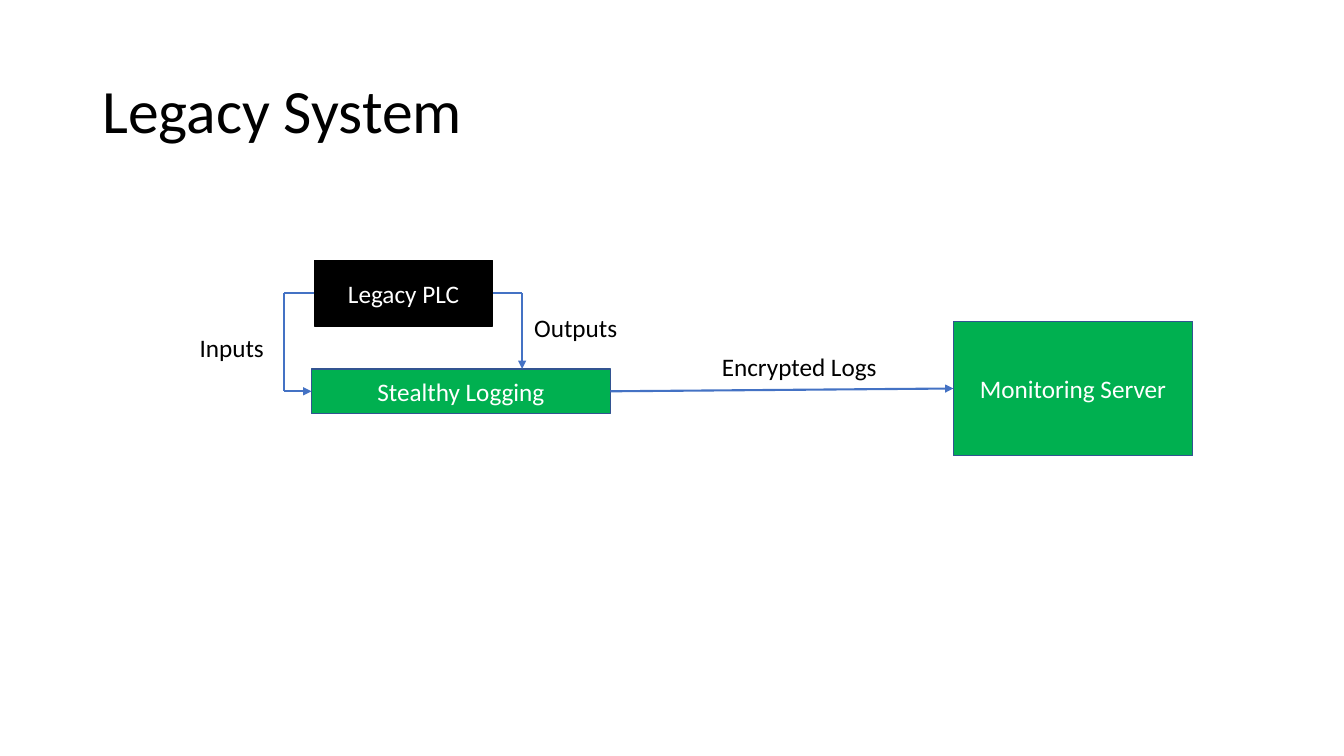
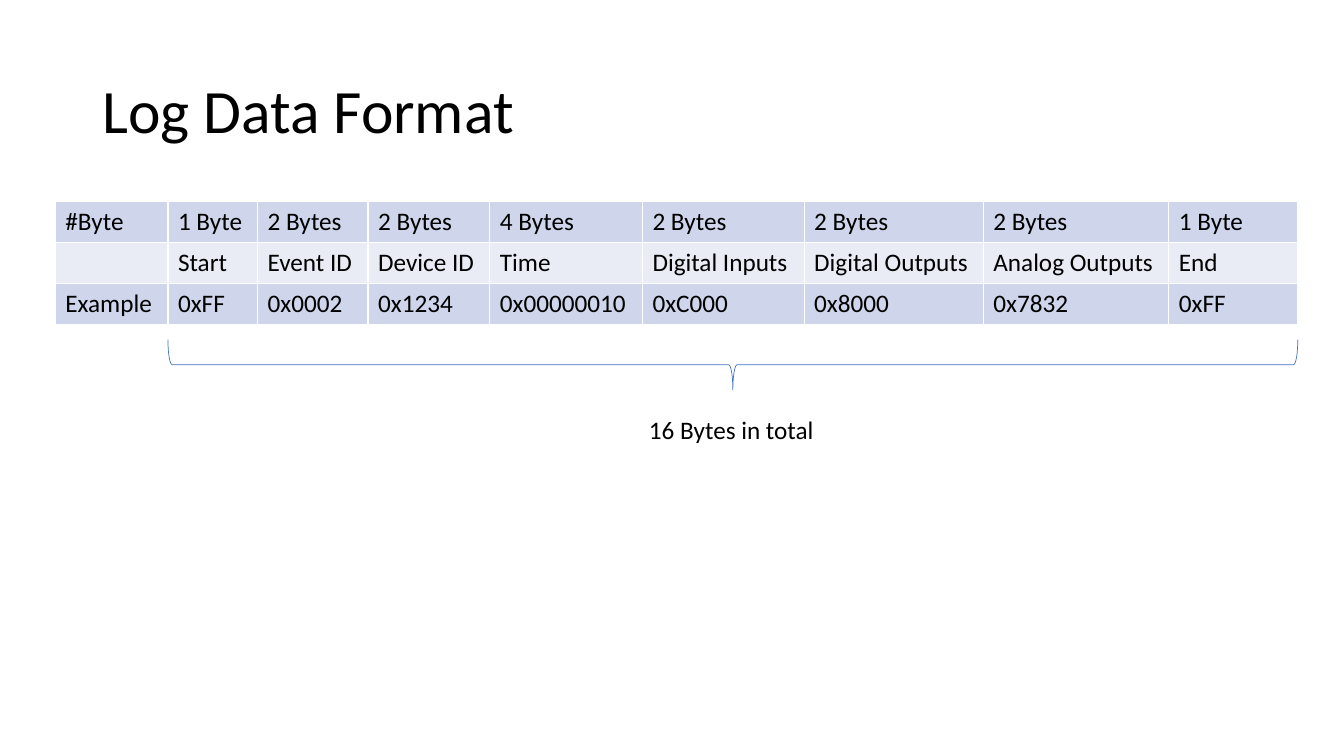
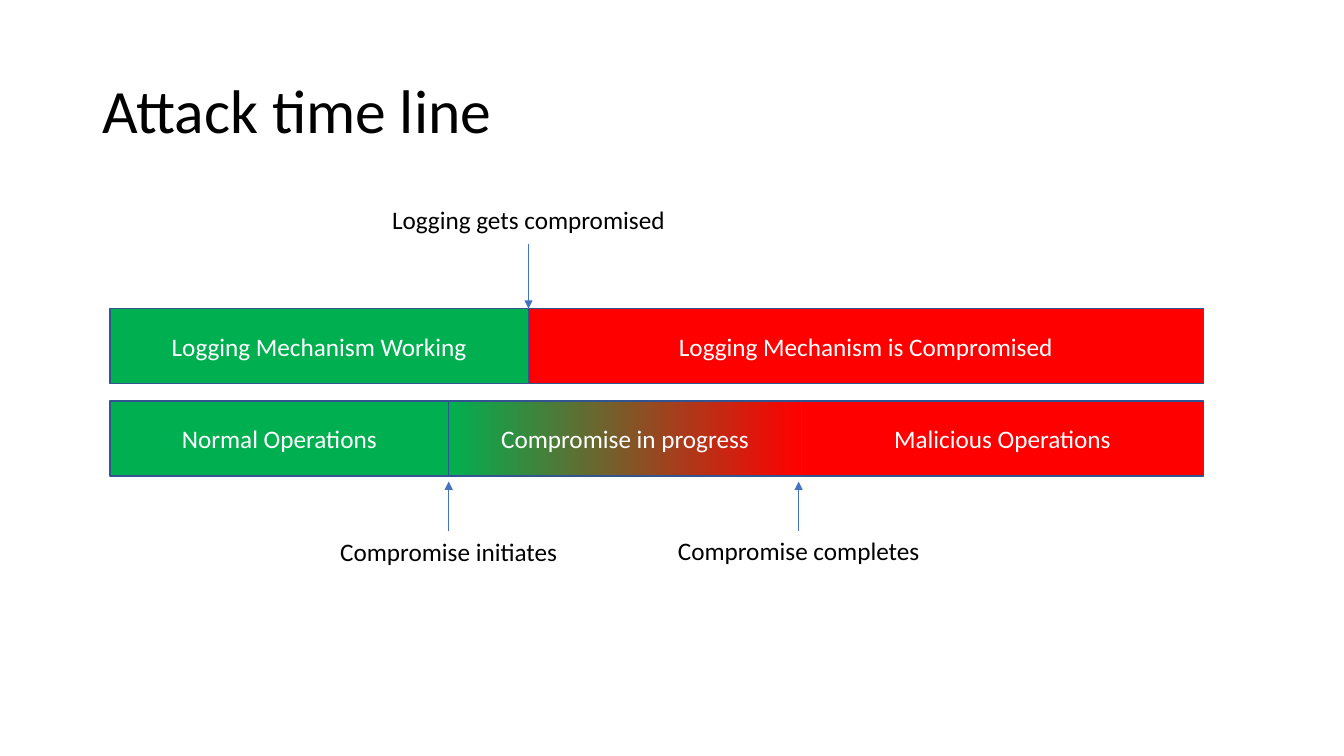
from itertools import pairwise

from pptx import Presentation
from pptx.dml.color import RGBColor as RGB
from pptx.enum.shapes import MSO_CONNECTOR as CONN, MSO_SHAPE as SHAPE
from pptx.enum.text import MSO_ANCHOR as ANCHOR, PP_ALIGN as ALIGN
from pptx.oxml import parse_xml
from pptx.oxml.ns import nsdecls
from pptx.util import Pt

COLORS = {
    "black": "000000", "white": "FFFFFF", "green": "00B050", "red": "FF0000",
    "outline": "325491", "blue": "4472C4", "band": "CFD5EA", "pale": "E9EBF5",
}
FONT = "Calibri"
LABEL_H = 29


def color(name):
    return RGB.from_string(COLORS[name])


class Deck:
    """Holds the shared style and the slide being built."""

    def __init__(self):
        self.prs = Presentation()
        self.prs.slide_width, self.prs.slide_height = Pt(960), Pt(540)
        self.s = None

    def slide(self, title):
        self.s = self.prs.slides.add_slide(self.prs.slide_layouts[6])
        tf = self.s.shapes.add_textbox(Pt(66), Pt(28.75), Pt(828), Pt(104.5)).text_frame
        tf.word_wrap = True
        tf.vertical_anchor = ANCHOR.MIDDLE
        self.set_text(tf, title, size=44).line_spacing = 0.9

    def set_text(self, tf, text, ink="black", size=18, align=ALIGN.LEFT):
        p = tf.paragraphs[0]
        p.text = text
        p.alignment = align
        p.font.name, p.font.size = FONT, Pt(size)
        p.font.color.rgb = color(ink)
        return p

    def label(self, text, x, y, w, align=ALIGN.LEFT):
        tf = self.s.shapes.add_textbox(Pt(x), Pt(y), Pt(w), Pt(LABEL_H)).text_frame
        tf.word_wrap = False
        self.set_text(tf, text, align=align)

    def box(self, text, x, y, w, h, fill="green", line="outline"):
        """A filled rectangle; a pair of fills makes a gradient."""
        sp = self.s.shapes.add_shape(SHAPE.RECTANGLE, Pt(x), Pt(y), Pt(w), Pt(h))
        sp.shadow.inherit = False
        if isinstance(fill, tuple):
            sp.fill.gradient()
            sp.fill.gradient_angle = 0
            for stop, name in zip(sp.fill.gradient_stops, fill):
                stop.color.rgb = color(name)
        else:
            sp.fill.solid()
            sp.fill.fore_color.rgb = color(fill)
        sp.line.color.rgb, sp.line.width = color(line), Pt(1)
        tf = sp.text_frame
        tf.vertical_anchor = ANCHOR.MIDDLE
        self.set_text(tf, text, "white", align=ALIGN.CENTER)
        return sp

    def bar(self, y, h, edges, parts):
        for (left, right), (text, fill) in zip(pairwise(edges), parts):
            self.box(text, left, y, right - left, h, fill)

    def line(self, start, end, width=1.5, arrow=False, begin=None, finish=None):
        """A straight line; begin and finish are (shape, side) joints."""
        c = self.s.shapes.add_connector(CONN.STRAIGHT, *map(Pt, (*start, *end)))
        if begin:
            c.begin_connect(*begin)
        if finish:
            c.end_connect(*finish)
        c.line.color.rgb, c.line.width = color("blue"), Pt(width)
        sp_pr = c._element.spPr
        if arrow:
            sp_pr.ln.append(parse_xml(f'<a:tailEnd {nsdecls("a")} type="triangle"/>'))
        sp_pr.append(parse_xml(f'<a:effectLst {nsdecls("a")}/>'))

    def event(self, text, x, start, end, label_y, w):
        """A thin arrow at a moment, with a label centred on it."""
        self.line((x, start), (x, end), width=0.5, arrow=True)
        self.label(text, x - w / 2, label_y, w, ALIGN.CENTER)

    def table(self, x, y, widths, row_h, rows):
        table = self.s.shapes.add_table(
            len(rows), len(widths), Pt(x), Pt(y), Pt(sum(widths)), Pt(row_h * len(rows))).table
        table.first_row = table.horz_banding = False
        for col, w in zip(table.columns, widths):
            col.width = Pt(w)
        for i, texts in enumerate(rows):
            table.rows[i].height = Pt(row_h)
            for j, text in enumerate(texts):
                cell = table.cell(i, j)
                self.set_text(cell.text_frame, text)
                self.borders(cell)
                cell.fill.solid()
                cell.fill.fore_color.rgb = color("pale" if i % 2 else "band")

    def borders(self, cell):
        tc_pr = cell._tc.get_or_add_tcPr()
        for side in "LRTB":
            tc_pr.append(parse_xml(
                f'<a:ln{side} {nsdecls("a")} w="{Pt(1)}"><a:solidFill>'
                f'<a:srgbClr val="{COLORS["white"]}"/></a:solidFill></a:ln{side}>'))

    def brace_below(self, x, y, w, h):
        """A left brace turned to open upwards over the given area."""
        sp = self.s.shapes.add_shape(
            SHAPE.LEFT_BRACE, Pt(x + (w - h) / 2), Pt(y + (h - w) / 2), Pt(h), Pt(w))
        sp.rotation = 270
        sp.shadow.inherit = False
        sp.fill.background()
        sp.line.color.rgb, sp.line.width = color("blue"), Pt(0.5)


def legacy_system(d):
    d.slide("Legacy System")
    # Devices
    plc = d.box("Legacy PLC", 224.5, 186, 127.5, 47, "black", "black")
    logging = d.box("Stealthy Logging", 222.5, 263.5, 213.5, 32)
    server = d.box("Monitoring Server", 681, 229.5, 171, 96)
    # Inputs, outputs and logs
    plc_y, log_y, in_x, out_x = 209.5, 279.5, 203, 373
    d.line((224.5, plc_y), (in_x, plc_y), begin=(plc, 1))
    d.line((in_x, plc_y), (in_x, log_y))
    d.line((in_x, log_y), (222.5, log_y), arrow=True, finish=(logging, 1))
    d.line((352, plc_y), (out_x, plc_y), begin=(plc, 3))
    d.line((out_x, plc_y), (out_x, 263.5), arrow=True)
    d.line((436, log_y), (681, 277.5), arrow=True, begin=(logging, 3), finish=(server, 1))
    d.label("Inputs", 135.5, 233.5, 62)
    d.label("Outputs", 374.5, 219.5, 80.5)
    d.label("Encrypted Logs", 508.5, 247.5, 134.5)


def log_data_format(d):
    d.slide("Log Data Format")
    # Record layout
    x, widths = 39.5, [80.5, 64, 79, 87, 109, 115.5, 128, 132.5, 92]
    d.table(x, 144, widths, 29.2, [
        ["#Byte", "1 Byte", "2 Bytes", "2 Bytes", "4 Bytes", "2 Bytes", "2 Bytes",
         "2 Bytes", "1 Byte"],
        ["", "Start", "Event ID", "Device ID", "Time", "Digital Inputs",
         "Digital Outputs", "Analog Outputs", "End"],
        ["Example", "0xFF", "0x0002", "0x1234", "0x00000010", "0xC000", "0x8000",
         "0x7832", "0xFF"],
    ])
    # Total size
    d.brace_below(x + widths[0], 242.5, sum(widths[1:]), 36)
    d.label("16 Bytes in total", 456.5, 292.5, 135.5)


def attack_time_line(d):
    d.slide("Attack time line")
    left, right, bar_h = 78.5, 859.5, 53.5
    initiated, logging_lost, completed = 320.5, 377.5, 572.5
    # Operations
    d.bar(286.5, bar_h, [left, initiated, completed, right], [
        ("Normal Operations", "green"),
        ("Compromise in progress", ("green", "red")),
        ("Malicious Operations", "red"),
    ])
    d.event("Compromise initiates", initiated, 379, 344, 379.5, 170)
    d.event("Compromise completes", completed - 2, 379, 344, 379, 189.5)
    # Logging
    d.bar(220.5, bar_h, [left, logging_lost, right], [
        ("Logging Mechanism Working", "green"),
        ("Logging Mechanism is Compromised", "red"),
    ])
    d.event("Logging gets compromised", logging_lost, 174, 220.5, 142.5, 210)


def main():
    d = Deck()
    legacy_system(d)
    log_data_format(d)
    attack_time_line(d)
    d.prs.save("out.pptx")


if __name__ == "__main__":
    main()
